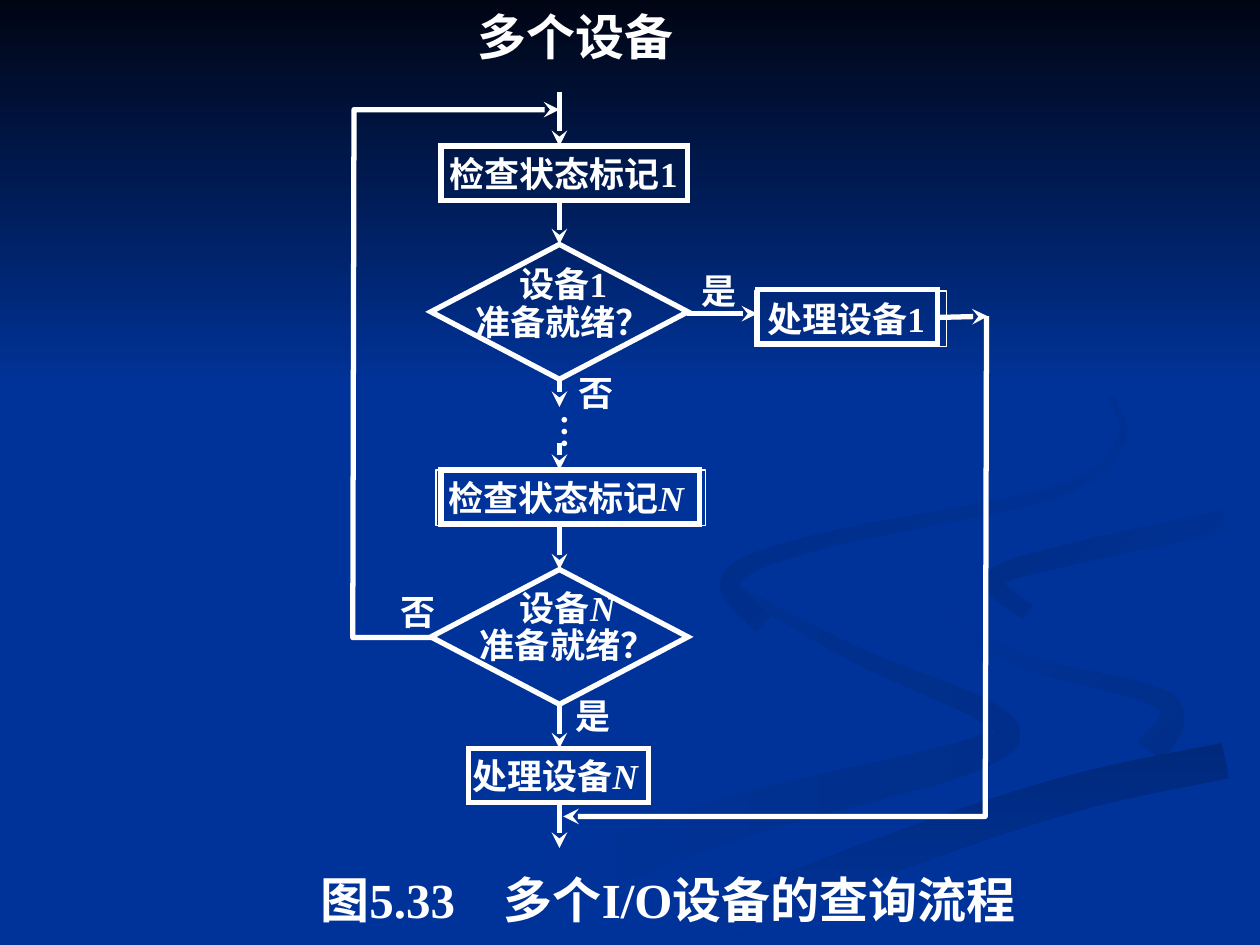
from lxml import etree
from pptx import Presentation
from pptx.dml.color import RGBColor
from pptx.enum.shapes import MSO_CONNECTOR, MSO_SHAPE
from pptx.enum.text import MSO_AUTO_SIZE, PP_ALIGN
from pptx.oxml.ns import qn
from pptx.util import Inches, Pt

WHITE = RGBColor(0xFF, 0xFF, 0xFF)
BLUE = RGBColor(0x00, 0x33, 0x99)
NIGHT = RGBColor(0x00, 0x05, 0x14)
DUSK = RGBColor(0x00, 0x2E, 0x8A)
DEEP = RGBColor(0x00, 0x29, 0x7C)
SHADE = RGBColor(0x00, 0x2C, 0x85)
RECT, DIAMOND = MSO_SHAPE.RECTANGLE, MSO_SHAPE.DIAMOND
STRAIGHT = MSO_CONNECTOR.STRAIGHT
GROW = MSO_AUTO_SIZE.SHAPE_TO_FIT_TEXT
LEFT, CENTER = PP_ALIGN.LEFT, PP_ALIGN.CENTER
FONT = {"name": "Times New Roman", "bold": True}

deck = Presentation()
deck.slide_width, deck.slide_height = Inches(10), Inches(7.5)
page = deck.slides.add_slide(deck.slide_layouts[6])
page.background.fill.solid()
page.background.fill.fore_color.rgb = BLUE

# The grid has 100 columns and 75 rows of equal steps.
STEP = deck.slide_width // 100
AXIS = 44.4
BOX, GEM, GEM_WIDTH = 4.3, 10.7, 20.4
LINE_BOX = 4.4


def outline(points, closed):
    """Freeform through points given in grid steps."""
    scaled = [(x * STEP, y * STEP) for x, y in points]
    builder = page.shapes.build_freeform(*map(int, scaled[0]))
    builder.add_line_segments(scaled[1:], close=closed)
    return builder.convert_to_shape()


def caption(place, lines, size=20, align=LEFT, spacing=1.0, wrap=False):
    """Text box whose lines are pairs of upright and italic text."""
    box = page.shapes.add_textbox(*(int(n * STEP) for n in place))
    frame = box.text_frame
    frame.word_wrap, frame.auto_size = wrap, GROW
    for number, parts in enumerate(lines):
        para = frame.add_paragraph() if number else frame.paragraphs[0]
        para.alignment, para.line_spacing = align, spacing
        for text, italic in zip(parts, (False, True)):
            span = para.add_run()
            span.text = text
            for name, value in {**FONT, "size": Pt(size), "italic": italic}.items():
                setattr(span.font, name, value)
            span.font.color.rgb = WHITE
    return box


# Backdrop: ribbons follow a smooth centre line (x + y in complex form)
# and taper from the first width to the second; the sky lies above them.
ribbons = [
    ([36 + 73j, 58 + 65j, 77 + 60j, 79 + 57j, 68 + 52j, 57 + 46j], 4, 0.3, DUSK, BLUE, 180),
    ([91 + 60j, 93 + 57j, 91 + 55j, 80 + 52j, 72 + 46j], 2.5, 0.2, DUSK, BLUE, 225),
    ([55 + 74j, 70 + 68j, 85 + 63j, 99 + 60j], 3, 2.8, DEEP, BLUE, 90),
    ([99 + 41j, 85 + 44j, 79 + 46j, 82 + 49j], 1.8, 1.2, BLUE, SHADE, 225),
    ([88 + 31j, 89 + 35j, 84 + 39j, 65 + 43j, 58 + 46j, 61 + 50j], 0.4, 1.8, BLUE, SHADE, 225),
]
backdrop = []
for knots, first, last, start, end, angle in ribbons:
    ends = [2 * knots[0] - knots[1], *knots, 2 * knots[-1] - knots[-2]]
    curve = []
    for a, b, c, d in zip(ends, ends[1:], ends[2:], ends[3:]):
        for t in (n / 8 for n in range(8)):
            bend = (2 * a - 5 * b + 4 * c - d) * t**2 + (3 * b - a - 3 * c + d) * t**3
            curve.append(b + ((c - a) * t + bend) / 2)
    curve.append(knots[-1])
    near, far = [], []
    for number, (before, here, after) in enumerate(zip(curve, curve[1:], curve[2:])):
        width = first + (last - first) * number / len(curve)
        side = (after - before) / abs(after - before) * 1j * width / 2
        near.append(here + side)
        far.append(here - side)
    edge = [(point.real, point.imag) for point in near + far[::-1]]
    backdrop.append((outline(edge, True), start, end, angle))
sky = page.shapes.add_shape(RECT, 0, 0, deck.slide_width, int(30.8 * STEP))
backdrop.append((sky, NIGHT, BLUE, 90))
for shape, start, end, angle in backdrop:
    shape.shadow.inherit = False
    shape.line.fill.background()
    shape.fill.gradient()
    shape.fill.gradient_angle = 360 - angle
    for stop, color, position in zip(shape.fill.gradient_stops, (start, end), (0, 1)):
        stop.color.rgb, stop.position = color, position

# Flowchart frames: five down the axis, one at the side
gem_left = AXIS - GEM_WIDTH / 2
frames = [
    (RECT, 35, 11.6, 19.6, BOX),
    (DIAMOND, gem_left, 19.4, GEM_WIDTH, GEM),
    (RECT, 35, 37.3, 20.5, BOX),
    (DIAMOND, gem_left, 45.2, GEM_WIDTH, GEM),
    (RECT, 37.2, 59.4, 14.3, BOX),
    (RECT, 60.1, 23, 14.3, BOX),
]
for kind, *place in frames:
    frame = page.shapes.add_shape(kind, *(int(n * STEP) for n in place))
    frame.shadow.inherit = False
    frame.fill.background()
    frame.line.color.rgb, frame.line.width = WHITE, Pt(3)
    etree.SubElement(frame.line._get_or_add_ln(), qn("a:miter"), lim="800000")

# Arrows: into and out of each frame on the axis, then across and the loops
tops = [top for kind, left, top, *rest in frames[:5]]
bottoms = [top + height for kind, left, top, width, height in frames[:5]]
drops = list(zip([7.3, *bottoms], [*tops, 67.3]))
drops[2:3] = [(bottoms[1], 32.3), (35.2, tops[2])]
routes = [[(AXIS, top), (AXIS, bottom)] for top, bottom in drops]
routes += [
    [(54.5, 24.9), (60.1, 24.9)],
    [(74.3, 25.2), (78.4, 25.1)],
    [(34.7, 50.6), (28, 50.6), (28.1, 8.7), (AXIS, 8.7)],
    [(78.3, 25.1), (78.2, 64.8), (44.7, 64.8)],
]
for route in routes:
    if len(route) == 2:
        ends = [int(n * STEP) for point in route for n in point]
        arrow = page.shapes.add_connector(STRAIGHT, *ends)
    else:
        arrow = outline(route, False)
        arrow.fill.background()
    arrow.line.color.rgb, arrow.line.width = WHITE, Pt(3)
    etree.SubElement(arrow.line._get_or_add_ln(), qn("a:tailEnd"), type="stealth")
    etree.SubElement(arrow._element.spPr, qn("a:effectLst"))

# Wording of the flowchart
caption((34.7, 11.6, 21.4, LINE_BOX), [("检查状态标记1",)])
caption((36.4, 20.7, 16.6, 7), [("设备1",), ("准备就绪？",)], align=CENTER, spacing=0.9)
caption((37.1, 46.4, 15.9, 7), [("设备", "N"), ("准备就绪？",)], align=CENTER, spacing=0.9)
caption((36.5, 59.4, 15.8, LINE_BOX), [("处理设备", "N")])
thin_boxes = [
    caption((34.6, 37.3, 21.4, LINE_BOX), [("检查状态标记", "N")]),
    caption((59.9, 23.1, 15.2, LINE_BOX), [("处理设备1",)]),
]
for box in thin_boxes:
    box.line.color.rgb, box.line.width = WHITE, Pt(0.75)

answers = [("是", 54.7, 20.9), ("否", 44.9, 29), ("否", 30.8, 46.4), ("是", 44.7, 54.6)]
for answer, left, top in answers:
    caption((left, top, 4.8, LINE_BOX), [(answer,)])

dots = caption((42.6, 31.9, 5.3, 3.8), [("…",)]).text_frame
dots.margin_left = dots.margin_right = Inches(0.05)
dots.margin_top = dots.margin_bottom = Inches(0.1)
dots._txBody.bodyPr.set("vert", "eaVert")

# Heading and figure title
caption((36.9, 0, 29, 5.7), [("多个设备",)], size=28, wrap=True)
caption((21.7, 68.5, 62.6, 5.7), [("图5.33　多个I/O设备的查询流程",)],
        size=28, align=CENTER, wrap=True)

deck.save("out.pptx")
